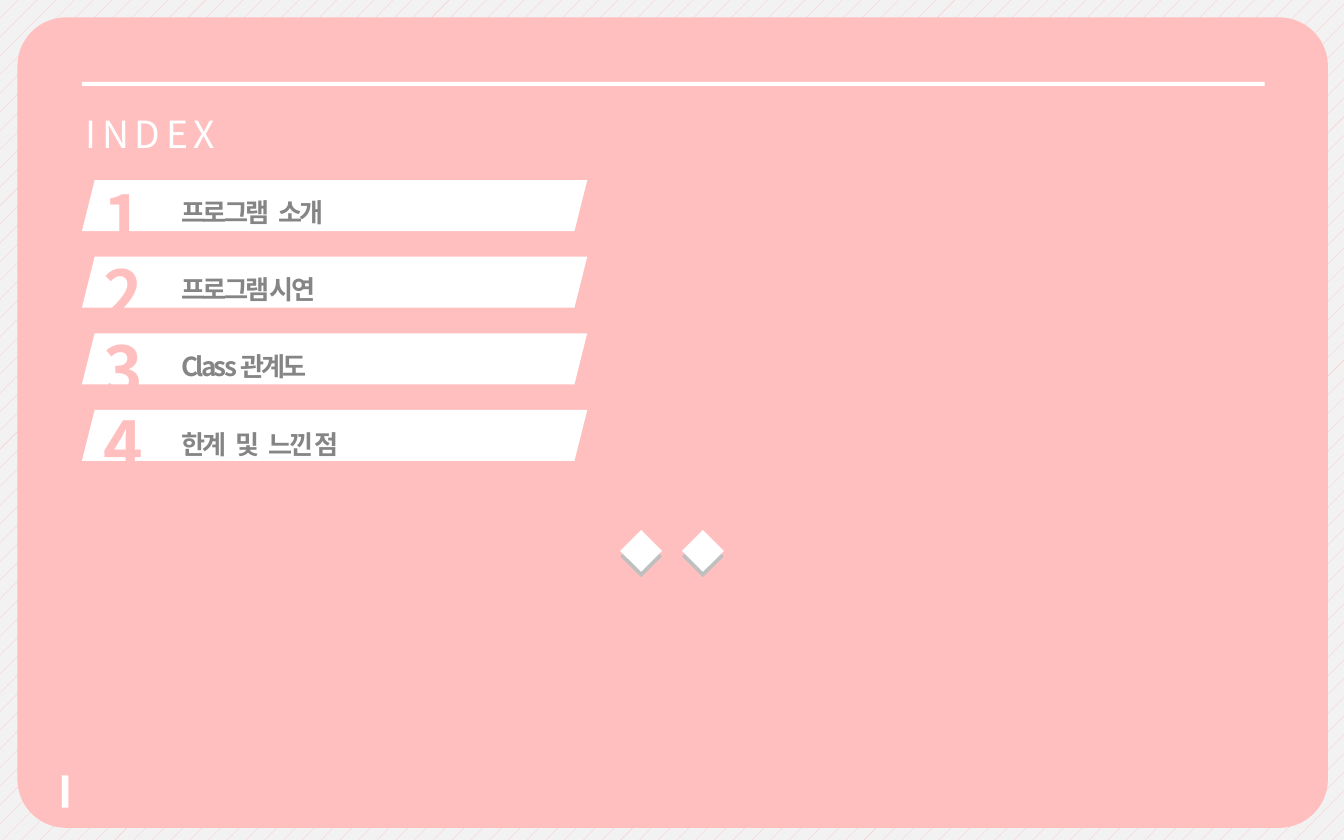
"""Build the index slide: a framed page with four numbered topics."""
from lxml.etree import SubElement
from pptx import Presentation
from pptx.dml.color import RGBColor
from pptx.enum.dml import MSO_PATTERN as Pattern
from pptx.enum.shapes import MSO_SHAPE as Shape
from pptx.enum.text import MSO_AUTO_SIZE as AutoSize, PP_ALIGN as Align
from pptx.oxml.ns import qn
from pptx.util import Inches, Pt

FONT = "Noto Sans CJK KR"
PINK, WHITE, SHADE, GREY, PAPER = "FFBFBF", "FFFFFF", "BFBFBF", "858585", "F2F2F2"
WIDTH, HEIGHT = 10, 6.25
MARGIN = 0.61
TOPICS = [("프로그램", "소개"), ("프로그램 시연",), ("Class 관계도",), ("한계", "및", "느낀 점")]
TITLE = {"size": Pt(20), "bold": False, "color": WHITE, "spacing": 3}
NUMBER = {"size": Pt(36), "bold": True, "color": PINK, "spacing": -1.5}
LABEL = {"size": Pt(14), "bold": True, "color": GREY, "spacing": -1.5}
WIDE_GAP = {**LABEL, "spacing": 1.5}


def color(value):
    """Turn a hex string into a colour."""
    return RGBColor.from_string(value)


def paint_background(page):
    """Fill the page with a light pattern."""
    fill = page.background.fill
    fill.patterned()
    fill.pattern = Pattern.PERCENT_5
    fill.fore_color.rgb = color(PINK)
    fill.back_color.rgb = color(PAPER)


def add_block(shapes, kind, place, fill, rotation=0):
    """Add a plain filled shape without outline or shadow."""
    block = shapes.add_shape(kind, *map(Inches, place))
    block.shadow.inherit = False
    block.fill.solid()
    block.fill.fore_color.rgb = color(fill)
    block.line.fill.background()
    block.rotation = rotation
    return block


def add_span(para, text, style):
    """Add a run with the given font format and letter spacing."""
    span = para.add_run()
    span.text = text
    for name in ("size", "bold"):
        setattr(span.font, name, style[name])
    span.font.name = FONT
    span.font.color.rgb = color(style["color"])
    properties = span.font._element
    properties.set("spc", str(int(style["spacing"] * 100)))
    SubElement(properties, qn("a:ea")).set("typeface", FONT)


def add_text(page, place, spans, wrap=False, insets=(0.1, 0.05), **layout):
    """Add a one-paragraph text box made of (text, style) spans."""
    frame = page.shapes.add_textbox(*map(Inches, place)).text_frame
    frame.word_wrap = wrap
    frame.auto_size = AutoSize.SHAPE_TO_FIT_TEXT
    frame.margin_left = frame.margin_right = Inches(insets[0])
    frame.margin_top = frame.margin_bottom = Inches(insets[1])
    para = frame.paragraphs[0]
    for name, value in layout.items():
        setattr(para, name, value)
    for text, style in spans:
        add_span(para, text, style)


def add_diamonds(page):
    """Add a group of two white diamonds over their grey lower edges."""
    group = page.shapes.add_group_shape()
    side = 0.22
    for fill, top in ((SHADE, 4.03), (WHITE, 3.99)):
        for column in range(2):
            left = 4.66 + 0.46 * column
            add_block(group.shapes, Shape.RECTANGLE, (left, top, side, side), fill, 45)


def label_spans(parts):
    """Join the parts of a topic with wide gaps."""
    spans = [(parts[0], LABEL)]
    for part in parts[1:]:
        spans += [(" ", WIDE_GAP), (part, LABEL)]
    return spans


def add_topic(page, row, parts):
    """Add a slanted bar with its number and label."""
    bar = (MARGIN, 1.34 + 0.57 * row, 3.76, 0.38)
    add_block(page.shapes, Shape.PARALLELOGRAM, bar, WHITE)
    add_text(page, (1.23, 1.33 + 0.575 * row, 2.58, 0.4), label_spans(parts),
             wrap=True, insets=(0.12, 0.06), line_spacing=1.3)
    add_text(page, (0.67, 1.27 + 0.56 * row, 0.48, 0.71), [(str(row + 1), NUMBER)])


def main():
    """Build and save the slide."""
    deck = Presentation()
    deck.slide_width, deck.slide_height = Inches(WIDTH), Inches(HEIGHT)
    page = deck.slides.add_slide(deck.slide_layouts[6])
    paint_background(page)
    panel = add_block(page.shapes, Shape.ROUNDED_RECTANGLE, (0.13, 0.13, 9.75, 6.03), PINK)
    panel.adjustments[0] = 0.06
    add_block(page.shapes, Shape.RECTANGLE, (0.46, 5.77, 0.05, 0.24), WHITE)
    add_diamonds(page)
    add_block(page.shapes, Shape.RECTANGLE, (MARGIN, 0.61, 8.8, 0.03), WHITE)
    add_text(page, (0.51, 0.61, 1.22, 0.61), [("INDEX", TITLE)],
             alignment=Align.CENTER, line_spacing=1.5, space_before=Pt(5))
    for row, parts in enumerate(TOPICS):
        add_topic(page, row, parts)
    deck.save("out.pptx")


if __name__ == "__main__":
    main()
